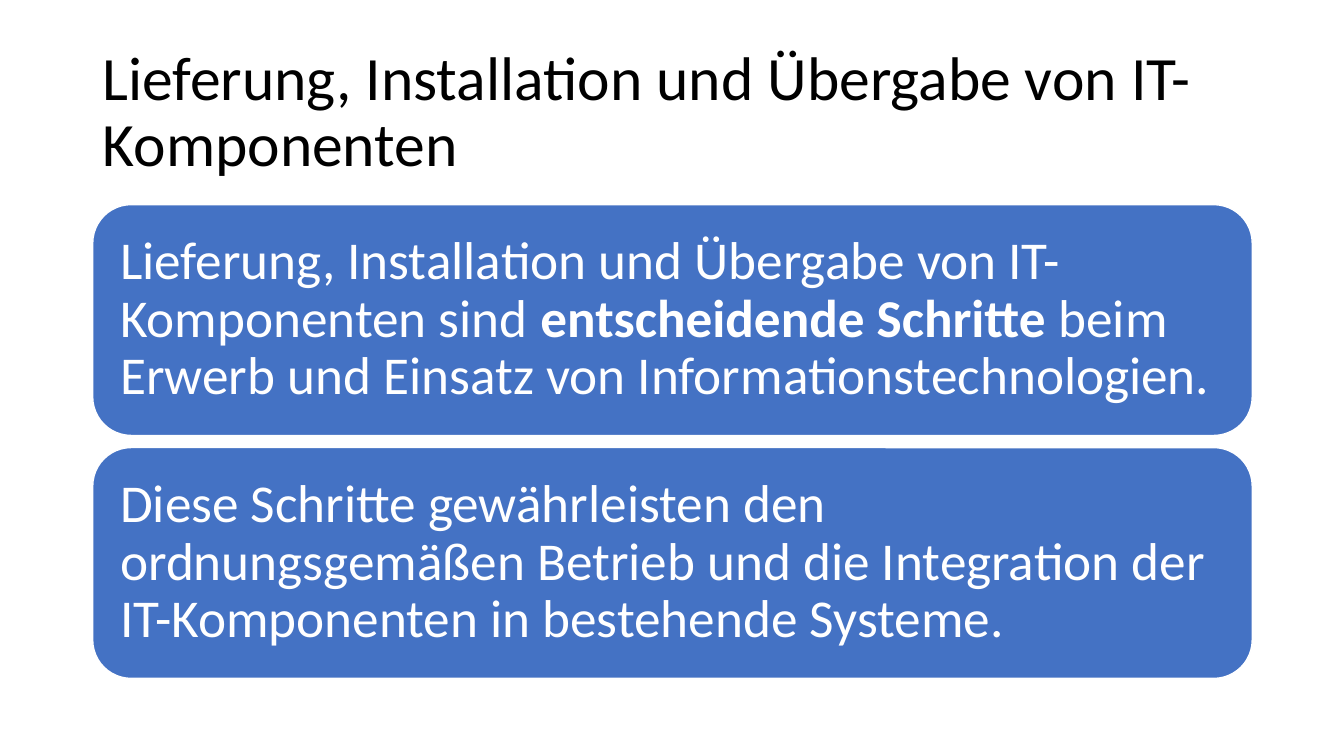
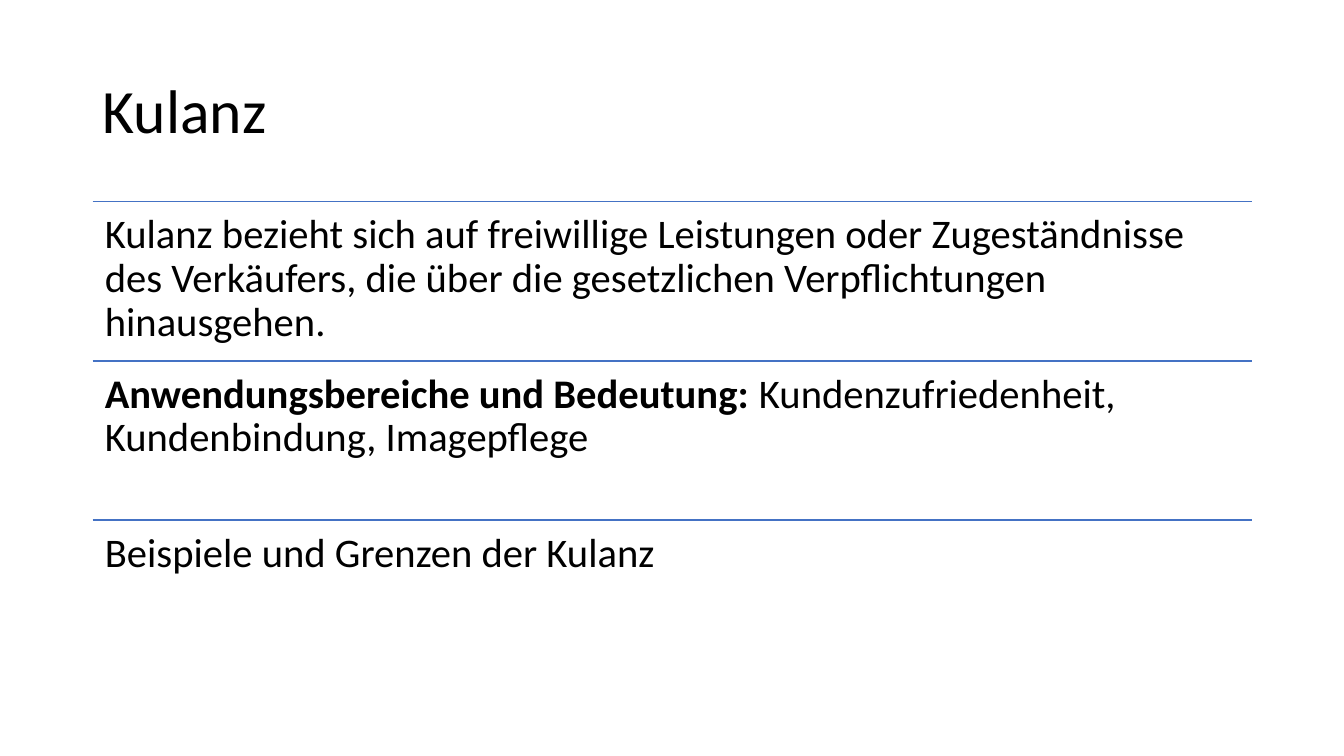
from lxml.etree import SubElement
from pptx import Presentation
from pptx.dml.color import RGBColor
from pptx.enum.shapes import MSO_CONNECTOR, MSO_SHAPE
from pptx.enum.text import MSO_ANCHOR, PP_ALIGN
from pptx.oxml.ns import qn
from pptx.util import Inches, Pt

# Shared look
BLUE = RGBColor(0x44, 0x72, 0xC4)
WHITE = RGBColor(0xFF, 0xFF, 0xFF)
BLACK = RGBColor(0x00, 0x00, 0x00)
FONT = "Calibri"

# Shared grid, in inches
SLIDE_WIDTH, SLIDE_HEIGHT = 13.33, 7.5
LEFT, WIDTH = 0.92, 11.5
TITLE_TOP, TITLE_HEIGHT = 0.4, 1.45
CARD_TOP, CARD_HEIGHT, CARD_GAP = 2.03, 2.29, 0.12
ROW_TOP, ROW_HEIGHT = 2, 1.58


def write(shape, spans, size, color, anchor, inset_x, inset_y):
    """Fill a shape with one paragraph of (text, bold) spans."""
    frame = shape.text_frame
    frame.word_wrap = True
    frame.vertical_anchor = anchor
    frame.margin_left = frame.margin_right = Inches(inset_x)
    frame.margin_top = frame.margin_bottom = Inches(inset_y)
    para = frame.paragraphs[0]
    para.alignment = PP_ALIGN.LEFT
    para.line_spacing = 0.9
    para.font.name = FONT
    para.font.size = Pt(size)
    para.font.color.rgb = color
    for text, bold in spans:
        span = para.add_run()
        span.text = text
        if bold:
            span.font.bold = True


def add_box(page, top, height):
    return page.shapes.add_textbox(
        Inches(LEFT), Inches(top), Inches(WIDTH), Inches(height))


def add_page(deck, title):
    page = deck.slides.add_slide(deck.slide_layouts[6])
    box = add_box(page, TITLE_TOP, TITLE_HEIGHT)
    write(box, [(title, False)], 44, BLACK, MSO_ANCHOR.MIDDLE, 0.1, 0.05)
    return page


def add_card(page, index, spans):
    top = CARD_TOP + index * (CARD_HEIGHT + CARD_GAP)
    card = page.shapes.add_shape(
        MSO_SHAPE.ROUNDED_RECTANGLE,
        Inches(LEFT), Inches(top), Inches(WIDTH), Inches(CARD_HEIGHT))
    card.shadow.inherit = False
    card.fill.solid()
    card.fill.fore_color.rgb = BLUE
    card.line.color.rgb = WHITE
    card.line.width = Pt(1)
    write(card, spans, 38, WHITE, MSO_ANCHOR.MIDDLE, 0.16, 0.16)


def add_ruled_row(page, index, spans):
    top = ROW_TOP + index * ROW_HEIGHT
    rule = page.shapes.add_connector(
        MSO_CONNECTOR.STRAIGHT,
        Inches(LEFT), Inches(top), Inches(LEFT + WIDTH), Inches(top))
    rule.line.color.rgb = BLUE
    rule.line.width = Pt(1)
    SubElement(rule._element.spPr, qn("a:effectLst"))
    box = add_box(page, top, ROW_HEIGHT)
    write(box, spans, 29, BLACK, MSO_ANCHOR.TOP, 0.12, 0.12)


def main():
    deck = Presentation()
    deck.slide_width = Inches(SLIDE_WIDTH)
    deck.slide_height = Inches(SLIDE_HEIGHT)

    # Delivery: two cards
    page = add_page(deck, "Lieferung, Installation und Übergabe von IT-Komponenten")
    cards = [
        [("Lieferung, Installation und Übergabe von IT-Komponenten sind ", False),
         ("entscheidende Schritte ", True),
         ("beim Erwerb und Einsatz von Informationstechnologien.", False)],
        [("Diese Schritte gewährleisten den ordnungsgemäßen Betrieb und die "
          "Integration der IT-Komponenten in bestehende Systeme.", False)],
    ]
    for index, spans in enumerate(cards):
        add_card(page, index, spans)

    # Goodwill: three ruled rows
    page = add_page(deck, "Kulanz")
    rows = [
        [("Kulanz bezieht sich auf freiwillige Leistungen oder Zugeständnisse des "
          "Verkäufers, die über die gesetzlichen Verpflichtungen hinausgehen.", False)],
        [("Anwendungsbereiche und Bedeutung:", True),
         (" Kundenzufriedenheit, Kundenbindung, Imagepflege", False)],
        [("Beispiele und Grenzen der Kulanz", False)],
    ]
    for index, spans in enumerate(rows):
        add_ruled_row(page, index, spans)

    deck.save("out.pptx")


if __name__ == "__main__":
    main()
